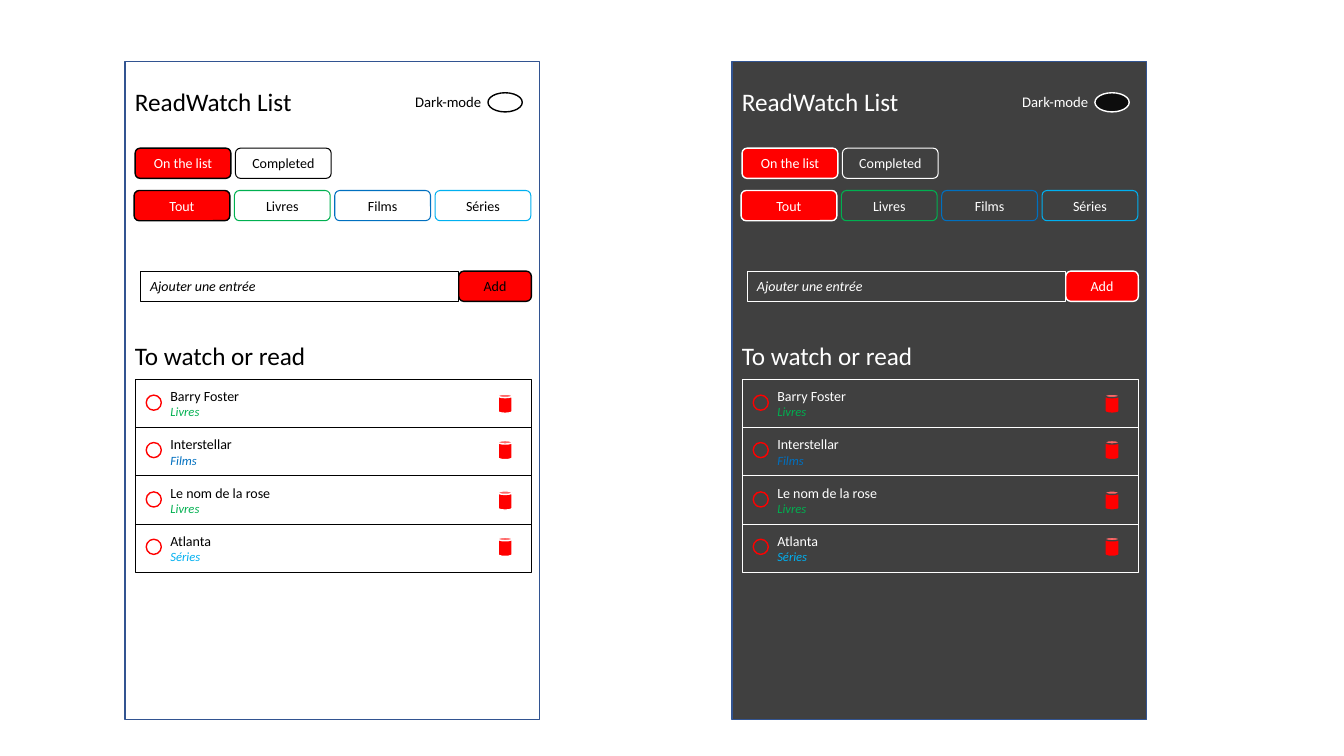
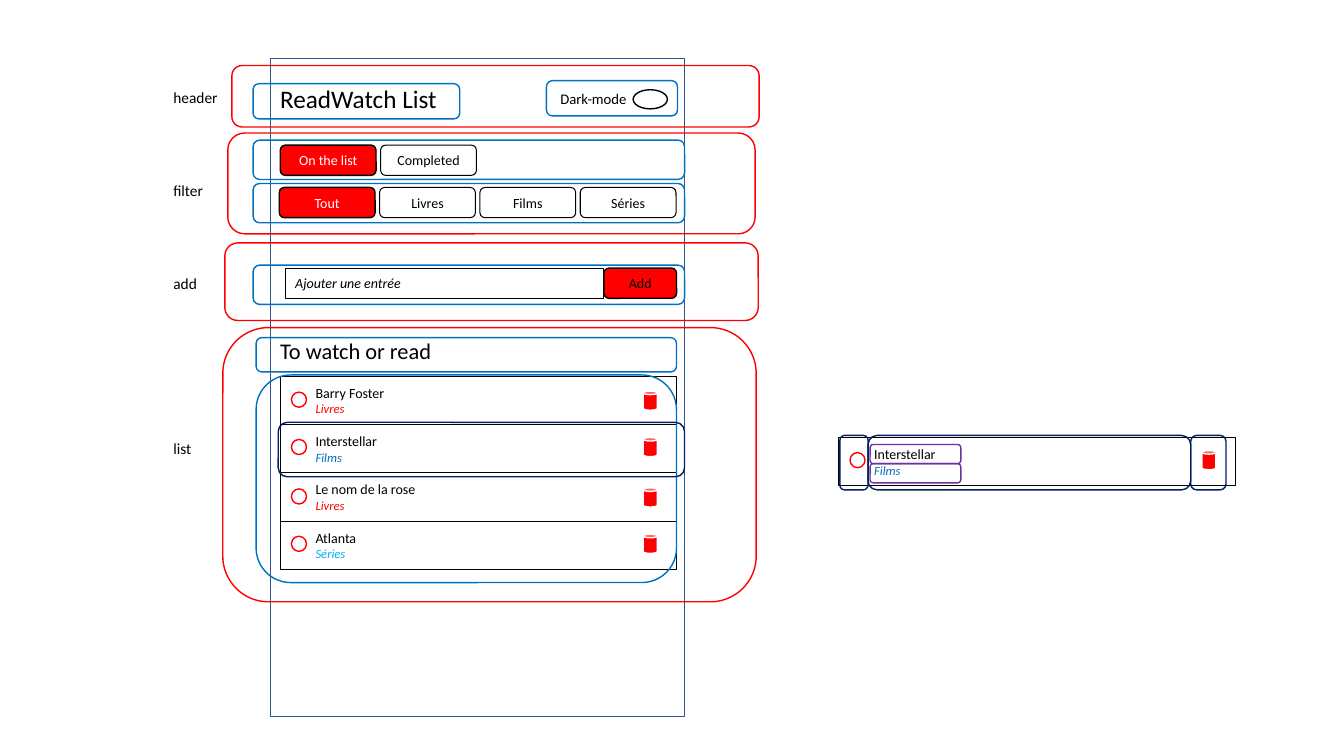
import pptx
import pptx.util
import pptx.dml.color
import pptx.enum.shapes
import pptx.enum.text

HUES = {
    "red": "FF0000", "green": "00B050", "blue": "0070C0", "sky": "00B0F0",
    "navy": "002060", "purple": "7030A0", "frame": "325491",
    "black": "000000", "white": "FFFFFF", "gray": "404040", "coal": "0D0D0D",
}
FONT = "Calibri"

# Content
STATES = ["On the list", "Completed"]
KINDS = ["Tout", "Livres", "Films", "Séries"]
ITEMS = [("Barry Foster", "Livres"), ("Interstellar", "Films"),
         ("Le nom de la rose", "Livres"), ("Atlanta", "Séries")]

LIGHT = {"ink": "black", "page": None, "edge": "white", "knob": None, "head": 18,
         "tabs": {"Livres": "green", "Films": "blue", "Séries": "sky"},
         "tags": {"Livres": "green", "Films": "blue", "Séries": "sky"}}
DARK = {**LIGHT, "ink": "white", "page": "gray", "edge": "gray", "knob": "coal"}
PLAN = {**LIGHT, "head": 16, "tabs": {},
        "tags": {"Livres": "red", "Films": "blue", "Séries": "sky"}}

# Outlines around page parts: colour, then left, top, width, height
ZONES = [
    ("red", [(2.3, 0.65, 5.23, 0.61), (2.26, 1.32, 5.23, 1),
             (2.23, 2.41, 5.29, 0.77), (2.21, 3.25, 5.29, 2.72)]),
    ("blue", [(2.51, 0.83, 2.05, 0.35), (5.42, 0.8, 1.3, 0.35),
              (2.51, 1.39, 4.28, 0.39), (2.51, 1.82, 4.28, 0.39),
              (2.51, 2.63, 4.28, 0.39), (2.54, 3.35, 4.17, 0.34),
              (2.54, 3.72, 4.17, 2.06)]),
    ("navy", [(2.76, 4.19, 4.03, 0.54)]),
]
DETAIL = [
    ("navy", [(8.33, 4.32, 0.28, 0.54), (8.61, 4.32, 3.2, 0.54),
              (11.81, 4.32, 0.35, 0.54)]),
    ("purple", [(8.63, 4.41, 0.9, 0.19), (8.63, 4.6, 0.9, 0.19)]),
]
LABELS = [("header", 0.82), ("filter", 1.75), ("add", 2.67), ("list", 4.31)]

# Sizes in inches
PHONE_W, PHONE_H = 4.11, 6.53
TAB_W, TAB_H, TAB_STEP = 0.95, 0.3, 0.995
ROW_W, ROW_H = 3.93, 0.48
RING_DROP, CAN_DROP = (0.16, 0.15), (0.15, 0.13)

SHAPE = pptx.enum.shapes.MSO_SHAPE
ALIGN = pptx.enum.text.PP_ALIGN


def tint(name):
    """Return the colour object for a named hue."""
    return pptx.dml.color.RGBColor.from_string(HUES[name])


def write(frame, lines, align=ALIGN.LEFT):
    """Put lines of (text, size, hue, italic) in a text frame."""
    frame.word_wrap = True
    for i, (text, size, hue, slant) in enumerate(lines):
        para = frame.add_paragraph() if i else frame.paragraphs[0]
        para.alignment = align
        run = para.add_run()
        run.text = text
        look = {"name": FONT, "size": pptx.util.Pt(size), "italic": slant}
        for key, value in look.items():
            setattr(run.font, key, value)
        run.font.color.rgb = tint(hue)


def draw(slide, kind, box, line, width=1, fill=None):
    """Add a preset shape with a line and an optional fill."""
    part = slide.shapes.add_shape(kind, *map(pptx.util.Inches, box))
    part.shadow.inherit = False
    if fill:
        part.fill.solid()
        part.fill.fore_color.rgb = tint(fill)
    else:
        part.fill.background()
    part.line.color.rgb = tint(line)
    part.line.width = pptx.util.Pt(width)
    return part


def label(slide, box, text, size, hue):
    """Add a text box with one line."""
    part = slide.shapes.add_textbox(*map(pptx.util.Inches, box))
    write(part.text_frame, [(text, size, hue, False)])


def button(slide, box, text, ink, line, live=False):
    """Add a rounded button, red when live."""
    part = draw(slide, SHAPE.ROUNDED_RECTANGLE, box, line,
                1 if live else 0.75, "red" if live else None)
    write(part.text_frame, [(text, 10, ink, False)], ALIGN.CENTER)


def tabs(slide, x, y, names, theme):
    """Add a row of tabs with the first one live."""
    for i, name in enumerate(names):
        box = (x + i * TAB_STEP, y, TAB_W, TAB_H)
        line = theme["tabs"].get(name, theme["ink"])
        button(slide, box, name, theme["ink"] if i else "white", line, i == 0)


def entry(slide, x, y, i, theme):
    """Add one list row with its ring, title, tag and bin."""
    title, tag = ITEMS[i]
    row = draw(slide, SHAPE.RECTANGLE, (x, y, ROW_W, ROW_H), theme["ink"], 0.5)
    row.text_frame.margin_left = pptx.util.Inches(0.35)
    write(row.text_frame, [(title, 10, theme["ink"], False),
                           (tag, 9, theme["tags"][tag], True)])
    draw(slide, SHAPE.OVAL, (x + 0.11, y + RING_DROP[i % 2], 0.15, 0.15), "red")
    draw(slide, SHAPE.CAN, (x + 3.6, y + CAN_DROP[i % 2], 0.14, 0.19),
         theme["edge"], fill="red")


def phone(slide, x, y, theme):
    """Add the whole app screen at a corner."""
    ink = theme["ink"]
    draw(slide, SHAPE.RECTANGLE, (x, y, PHONE_W, PHONE_H), "frame",
         fill=theme["page"])
    label(slide, (x, y + 0.2, 2.19, 0.4), "ReadWatch List", 18, ink)
    label(slide, (x + 2.78, y + 0.26, 0.93, 0.29), "Dark-mode", 10.5, ink)
    draw(slide, SHAPE.OVAL, (x + 3.6, y + 0.31, 0.34, 0.19), ink,
         fill=theme["knob"])
    tabs(slide, x + 0.1, y + 0.86, STATES, theme)
    tabs(slide, x + 0.09, y + 1.28, KINDS, theme)
    field = draw(slide, SHAPE.RECTANGLE, (x + 0.15, y + 2.08, 3.16, TAB_H),
                 ink, 0.75)
    write(field.text_frame, [("Ajouter une entrée", 10, ink, True)])
    button(slide, (x + 3.31, y + 2.08, 0.72, TAB_H), "Add", ink, ink, True)
    label(slide, (x, y + 2.72, ROW_W, 0.4), "To watch or read",
          theme["head"], ink)
    for i in range(len(ITEMS)):
        entry(slide, x + 0.1, y + 3.15 + i * ROW_H, i, theme)


def outline(slide, groups):
    """Add rounded outlines, grouped by colour."""
    for hue, boxes in groups:
        for box in boxes:
            draw(slide, SHAPE.ROUNDED_RECTANGLE, box, hue)


deck = pptx.Presentation()
deck.slide_width = pptx.util.Inches(13.33)
deck.slide_height = pptx.util.Inches(7.5)
blank = deck.slide_layouts[6]

modes = deck.slides.add_slide(blank)
phone(modes, 1.24, 0.61, LIGHT)
phone(modes, 7.26, 0.61, DARK)

parts = deck.slides.add_slide(blank)
phone(parts, 2.68, 0.58, PLAN)
outline(parts, ZONES)
for text, top in LABELS:
    label(parts, (1.62, top, 1.45, 0.29), text, 11, "black")
entry(parts, 8.32, 4.34, 1, PLAN)
outline(parts, DETAIL)

deck.save("out.pptx")
